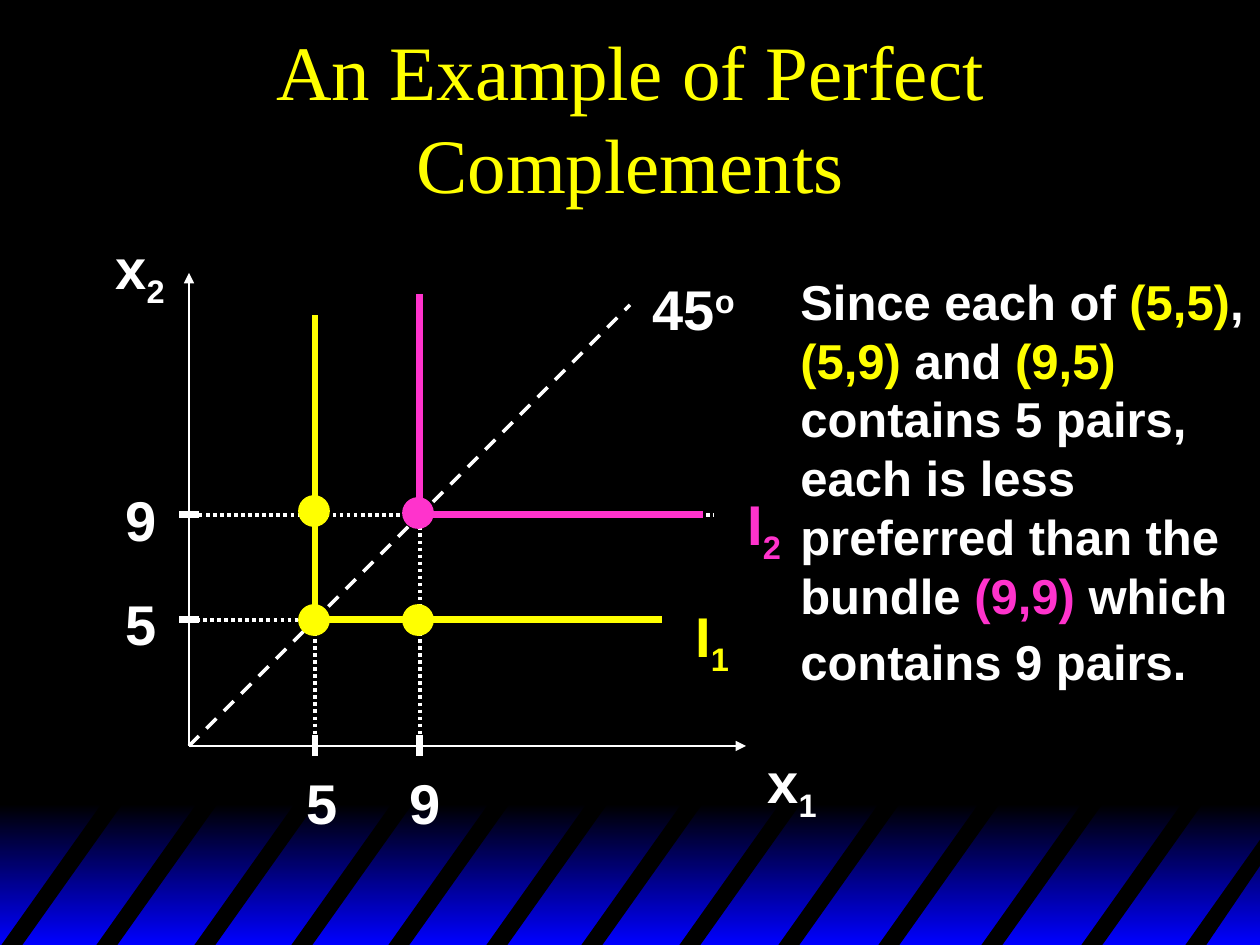
from lxml.etree import SubElement
from pptx import Presentation
from pptx.dml.color import RGBColor
from pptx.enum.dml import MSO_LINE
from pptx.enum.shapes import MSO_CONNECTOR, MSO_SHAPE
from pptx.enum.text import MSO_ANCHOR, MSO_AUTO_SIZE, PP_ALIGN
from pptx.oxml.ns import qn
from pptx.util import Emu, Pt

PX = 914400 / 126
BLACK = RGBColor(0x00, 0x00, 0x00)
BLUE = RGBColor(0x00, 0x00, 0xFF)
WHITE = RGBColor(0xFF, 0xFF, 0xFF)
YELLOW = RGBColor(0xFF, 0xFF, 0x00)
PINK = RGBColor(0xFF, 0x33, 0xCC)


def add_text(box, runs, size=32, wrap=False, font="Arial", bold=True):
    tf = s.shapes.add_textbox(*[Emu(round(v * PX)) for v in box]).text_frame
    tf.word_wrap = wrap
    p = tf.paragraphs[0]
    p.font.size, p.font.name, p.font.bold = Pt(size), font, bold
    for text, color, baseline in runs:
        r = p.add_run()
        r.text = text
        r.font.color.rgb = color
        if baseline:
            r._r.get_or_add_rPr().set("baseline", str(baseline * 1000))
    return tf


def add_line(x1, y1, x2, y2, color, width, dash=None, arrow=False):
    ends = [Emu(round(v * PX)) for v in (x1, y1, x2, y2)]
    line = s.shapes.add_connector(MSO_CONNECTOR.STRAIGHT, *ends)
    line.line.color.rgb = color
    line.line.width = Pt(width)
    if dash:
        line.line.dash_style = dash
    if arrow:
        SubElement(line.line._get_or_add_ln(), qn("a:tailEnd"), type="triangle")
    SubElement(line._element.spPr, qn("a:effectLst"))


prs = Presentation()
prs.slide_width, prs.slide_height = Emu(round(1260 * PX)), Emu(round(945 * PX))
s = prs.slides.add_slide(prs.slide_layouts[6])
s.background.fill.solid()
s.background.fill.fore_color.rgb = BLACK

band = s.shapes.add_shape(MSO_SHAPE.RECTANGLE, *[Emu(round(v * PX)) for v in (0, 804, 1262, 141)])
band.shadow.inherit = False
band.line.fill.background()
band.fill.gradient()
band.fill.gradient_angle = 270
for stop, color in zip(band.fill.gradient_stops, (BLACK, BLUE)):
    stop.color.rgb = color

TOP, BOTTOM = 799, 947
stripes = [
    [(x, BOTTOM), (x + 105, TOP), (x + 126, TOP), (x + 21, BOTTOM)]
    for x in (0, 95, 193, 290, 387, 485, 580, 678, 777, 877, 980, 1080)
]
stripes.append([(1184, BOTTOM), (1262, 837), (1262, 863), (1205, BOTTOM)])
for points in stripes:
    builder = s.shapes.build_freeform(*points[0], scale=PX)
    builder.add_line_segments(points[1:], close=True)
    stripe = builder.convert_to_shape()
    stripe.shadow.inherit = False
    stripe.fill.solid()
    stripe.fill.fore_color.rgb = BLACK
    stripe.line.fill.background()

title = add_text((95, 32, 1071, 168), [("An Example of Perfect Complements", YELLOW, 0)],
                 44, True, "Times New Roman", False)
title.vertical_anchor = MSO_ANCHOR.MIDDLE
title.paragraphs[0].alignment = PP_ALIGN.CENTER

X0, Y0 = 189, 746
X5, Y5 = 315, 620
X9, Y9 = 420, 515
add_line(X0, Y0, X0, 273, WHITE, 1, arrow=True)
add_line(X0, Y0, 746, Y0, WHITE, 1, arrow=True)
for x in (X5, X9):
    add_line(x, 735, x, 756, WHITE, 4)
for y in (Y5, Y9):
    add_line(199, y, 179, y, WHITE, 4)

add_line(X0, Y0, 630, 305, WHITE, 2, MSO_LINE.DASH)
for ends in ((X5, 315, X5, Y0), (X0, Y5, 662, Y5), (X9, 294, X9, Y0), (199, Y9, 714, Y9)):
    add_line(*ends, WHITE, 2, MSO_LINE.ROUND_DOT)

for x, y, top, right, color in ((X5, Y5, 315, 662, YELLOW), (X9, Y9, 294, 703, PINK)):
    add_line(x, top, x, y, color, 4)
    add_line(x, y, right, y, color, 4)

for x, y, color in ((299, 496, YELLOW), (299, 605, YELLOW), (403, 605, YELLOW), (403, 498, PINK)):
    dot = s.shapes.add_shape(MSO_SHAPE.OVAL, *[Emu(round(v * PX)) for v in (x, y, 30, 30)])
    dot.shadow.inherit = False
    dot.fill.solid()
    dot.fill.fore_color.rgb = color
    dot.line.color.rgb = color
    dot.line.width = Pt(1)

for box, text, mark, baseline, color, wrap in (
    ((103, 227, 74, 89), "x", "2", -25, WHITE, False),
    ((755, 741, 74, 89), "x", "1", -25, WHITE, False),
    ((735, 483, 73, 89), "I", "2", -25, PINK, True),
    ((683, 595, 63, 89), "I", "1", -25, YELLOW, True),
    ((640, 268, 107, 79), "45", "o", 30, WHITE, False),
):
    tf = add_text(box, [(text, color, 0), (mark, color, baseline)], wrap=wrap)
    tf.auto_size = MSO_AUTO_SIZE.SHAPE_TO_FIT_TEXT

for x, y, w, text in ((113, 583, 57, "5"), (113, 479, 57, "9"), (294, 762, 64, "5"), (397, 762, 57, "9")):
    tf = add_text((x, y, w, 79), [(text, WHITE, 0)], wrap=w == 64)
    tf.auto_size = MSO_AUTO_SIZE.SHAPE_TO_FIT_TEXT

note = add_text((788, 265, 484, 433), [
    ("Since each of ", WHITE, 0),
    ("(5,5)", YELLOW, 0),
    (", ", WHITE, 0),
    ("(5,9)", YELLOW, 0),
    (" and ", WHITE, 0),
    ("(9,5)", YELLOW, 0),
    (" contains 5 pairs, each is less preferred than the bundle ", WHITE, 0),
    ("(9,9) ", PINK, 0),
    ("which contains 9 pairs.", WHITE, 0),
    (" ", WHITE, 0),
], 28, True)
note.auto_size = MSO_AUTO_SIZE.SHAPE_TO_FIT_TEXT
note.paragraphs[0].runs[-1].font.size = Pt(32)

prs.save("out.pptx")
